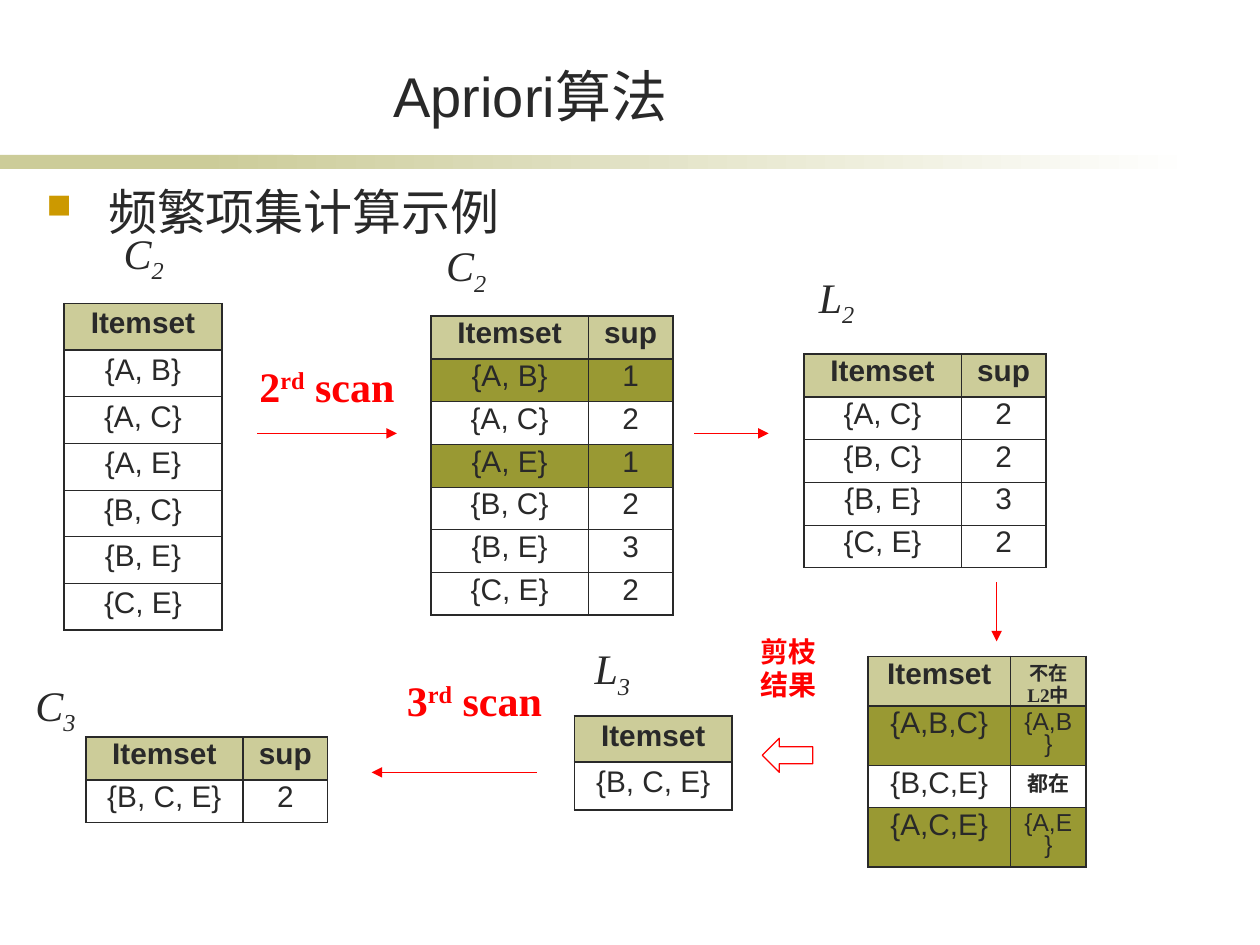
from dataclasses import dataclass
from typing import NamedTuple

from lxml import etree
from pptx import Presentation
from pptx.dml.color import RGBColor
from pptx.enum.shapes import MSO_CONNECTOR, MSO_SHAPE
from pptx.enum.text import MSO_ANCHOR, MSO_AUTO_SIZE, PP_ALIGN
from pptx.oxml.ns import qn
from pptx.util import Emu, Inches, Pt

RECTANGLE, LEFT_ARROW = MSO_SHAPE.RECTANGLE, MSO_SHAPE.LEFT_ARROW
STRAIGHT = MSO_CONNECTOR.STRAIGHT
TOP, MIDDLE, BOTTOM = MSO_ANCHOR.TOP, MSO_ANCHOR.MIDDLE, MSO_ANCHOR.BOTTOM
LEFT, CENTER = PP_ALIGN.LEFT, PP_ALIGN.CENTER
FIT_SHAPE = MSO_AUTO_SIZE.SHAPE_TO_FIT_TEXT

SANS, SERIF = "Arial", "Times New Roman"
INK, RED, WHITE = "292929", "FF0000", "FFFFFF"
SAND, OLIVE, GOLD = "CCCC99", "999933", "CC9900"
THICK, THIN = 1.08, 0.45

# The slide is a grid of 100 columns by 75 rows
WIDTH, HEIGHT = Inches(10), Inches(7.5)
COLUMN, ROW = WIDTH / 100, HEIGHT / 75
ITEMSET, SUP = 12.5, 6.7  # table column widths, in grid columns


class Box(NamedTuple):
    col: float
    row: float
    cols: float
    rows: float


class Style(NamedTuple):
    size: float = 17
    font: str = SANS
    color: str = INK
    bold: bool = False
    italic: bool = False


class Cell(NamedTuple):
    text: str
    style: Style


@dataclass
class Label:
    box: Box
    runs: list[tuple[str, int]]  # text and baseline shift in percent
    style: Style
    anchor: MSO_ANCHOR = MIDDLE
    align: PP_ALIGN = CENTER
    wrap: bool = False


@dataclass
class ItemsetTable:
    col: float
    row: float
    widths: list[float]
    heights: list[float]
    rows: list[list[str | Cell]]
    spacing: float = 0.8
    pruned: tuple[int, ...] = ()


def rgb(color: str) -> RGBColor:
    return RGBColor.from_string(color)


def across(cols: float) -> Emu:
    return Emu(round(cols * COLUMN))


def down(rows: float) -> Emu:
    return Emu(round(rows * ROW))


def place(box: Box) -> tuple[Emu, Emu, Emu, Emu]:
    return across(box.col), down(box.row), across(box.cols), down(box.rows)


def set_font(paragraph, style: Style) -> None:
    font = paragraph.font
    font.size, font.name = Pt(style.size), style.font
    font.bold, font.italic = style.bold, style.italic
    font.color.rgb = rgb(style.color)


def draw_label(slide, label: Label):
    textbox = slide.shapes.add_textbox(*place(label.box))
    frame = textbox.text_frame
    frame.word_wrap, frame.vertical_anchor = label.wrap, label.anchor
    if label.anchor == MIDDLE:
        frame.auto_size = FIT_SHAPE
    paragraph = frame.paragraphs[0]
    paragraph.alignment = label.align
    for text, shift in label.runs:
        run = paragraph.add_run()
        run.text = text
        if shift:
            run._r.get_or_add_rPr().set("baseline", str(shift * 1000))
    set_font(paragraph, label.style)
    return paragraph


def add_bullet(paragraph, indent: Emu) -> None:
    props = paragraph._p.get_or_add_pPr()
    props.set("marL", str(indent))
    props.set("indent", str(-indent))
    color = etree.Element(qn("a:buClr"))
    etree.SubElement(color, qn("a:srgbClr"), val=GOLD)
    size = etree.Element(qn("a:buSzPct"), val="70000")
    mark = etree.Element(qn("a:buChar"), char="■")
    for position, part in enumerate((color, size, mark)):
        props.insert(position, part)


def set_borders(cell, row: int, last: int) -> None:
    top = THICK if row <= 1 else THIN
    bottom = THICK if row in (0, last) else THIN
    props = cell._tc.get_or_add_tcPr()
    sides = {"lnL": THICK, "lnR": THICK, "lnT": top, "lnB": bottom}
    for position, (side, points) in enumerate(sides.items()):
        line = etree.Element(qn(f"a:{side}"), w=str(Pt(points)))
        fill = etree.SubElement(line, qn("a:solidFill"))
        etree.SubElement(fill, qn("a:srgbClr"), val=INK)
        props.insert(position, line)


def draw_table(slide, spec: ItemsetTable) -> None:
    box = Box(spec.col, spec.row, sum(spec.widths), sum(spec.heights))
    table = slide.shapes.add_table(len(spec.rows), len(spec.widths), *place(box)).table
    table.first_row = table.horz_banding = False
    for column, width in zip(table.columns, spec.widths):
        column.width = across(width)
    for r, (height, values) in enumerate(zip(spec.heights, spec.rows)):
        table.rows[r].height = down(height)
        for c, value in enumerate(values):
            if isinstance(value, str):
                value = Cell(value, Style(bold=r == 0))
            cell = table.cell(r, c)
            cell.text = value.text
            paragraph = cell.text_frame.paragraphs[0]
            paragraph.alignment, paragraph.line_spacing = CENTER, spec.spacing
            set_font(paragraph, value.style)
            if r == 0 or r in spec.pruned:
                cell.fill.solid()
                cell.fill.fore_color.rgb = rgb(OLIVE if r else SAND)
            else:
                cell.fill.background()
            set_borders(cell, r, len(spec.rows) - 1)


def draw_arrow(slide, start: tuple[float, float], end: tuple[float, float]) -> None:
    (x1, y1), (x2, y2) = start, end
    arrow = slide.shapes.add_connector(STRAIGHT, across(x1), down(y1), across(x2), down(y2))
    arrow.line.color.rgb, arrow.line.width = rgb(RED), Pt(0.75)
    etree.SubElement(arrow.line._get_or_add_ln(), qn("a:tailEnd"), type="triangle")
    etree.SubElement(arrow._element.spPr, qn("a:effectLst"))


def draw_shape(slide, preset: MSO_SHAPE, box: Box, fill: str):
    shape = slide.shapes.add_shape(preset, *place(box))
    shape.shadow.inherit = False
    shape.fill.solid()
    shape.fill.fore_color.rgb = rgb(fill)
    shape.line.fill.background()
    return shape


def set_name(letter: str, index: str, col: float, row: float) -> Label:
    cols = 5.2 if letter == "C" else 4.8
    return Label(Box(col, row, cols, 5.6), [(letter, 0), (index, -25)],
                 Style(24, SERIF, italic=True))


def scan_step(number: str, col: float, row: float) -> Label:
    return Label(Box(col, row, 12.7, 5), [(number, 0), ("rd", 30), (" scan", 0)],
                 Style(24, SERIF, RED, bold=True))


PAIRS = ["{A, B}", "{A, C}", "{A, E}", "{B, C}", "{B, E}", "{C, E}"]
SUPPORT = dict(zip(PAIRS, "121232"))
FREQUENT = [[pair, sup] for pair, sup in SUPPORT.items() if sup != "1"]
HEADER = ["Itemset", "sup"]

TABLES = [
    ItemsetTable(5.1, 24.1, [ITEMSET], [3.7] * 7,
                 [["Itemset"], *([pair] for pair in PAIRS)], 0.9),
    ItemsetTable(34.2, 25.1, [ITEMSET, SUP], [3.39] * 7,
                 [HEADER, *map(list, SUPPORT.items())], pruned=(1, 3)),
    ItemsetTable(63.8, 28.1, [ITEMSET, SUP], [3.39] * 5, [HEADER, *FREQUENT]),
    ItemsetTable(68.9, 52.1, [11.3, 6], [3.9, 4.7, 3.3, 4.7], [
        ["Itemset", Cell("不在L2中", Style(11, SERIF, bold=True))],
        ["{A,B,C}", Cell("{A,B}", Style(14))],
        ["{B,C,E}", Cell("都在", Style(12, bold=True))],
        ["{A,C,E}", Cell("{A,E}", Style(14))]], pruned=(1, 3)),
    ItemsetTable(45.6, 56.8, [ITEMSET], [3.7, 3.8], [["Itemset"], ["{B, C, E}"]], 0.9),
    ItemsetTable(6.8, 58.5, [ITEMSET, SUP], [3.39] * 2, [HEADER, ["{B, C, E}", "2"]]),
]
LABELS = [
    Label(Box(11.4, 4.4, 61.4, 6.3), [("Apriori算法", 0)], Style(32), BOTTOM, wrap=True),
    set_name("C", "2", 8.8, 17.5), set_name("C", "2", 34.4, 18.5),
    set_name("L", "2", 64, 21), set_name("L", "3", 46.2, 50.5),
    set_name("C", "3", 1.8, 53.4),
    scan_step("2", 19.6, 28.1), scan_step("3", 31.3, 53),
    Label(Box(58.7, 49.8, 7.8, 6.4), [("剪枝结果", 0)],
          Style(16, SERIF, RED, bold=True), wrap=True),
]
TOPIC = Label(Box(2.7, 13.9, 91.4, 50.4), [("频繁项集计算示例", 0)],
              Style(28), TOP, LEFT, wrap=True)
ARROWS = [((20.4, 34.4), (31.5, 34.4)), ((55.1, 34.4), (61, 34.4)),
          ((79.1, 46.2), (79.1, 50.9)), ((42.6, 61.3), (29.5, 61.3))]


def main() -> None:
    deck = Presentation()
    deck.slide_width, deck.slide_height = WIDTH, HEIGHT
    slide = deck.slides.add_slide(deck.slide_layouts[6])

    # Band under the title, fading to the right
    draw_shape(slide, RECTANGLE, Box(0, 12.3, 23.3, 1.1), SAND)
    fade = draw_shape(slide, RECTANGLE, Box(15.8, 12.3, 79.2, 1.1), SAND).fill
    fade.gradient()
    fade.gradient_angle = 0
    for stop, color in zip(fade.gradient_stops, (SAND, WHITE)):
        stop.color.rgb = rgb(color)

    # Topic, tables and their names
    add_bullet(draw_label(slide, TOPIC), across(4.9))
    for table in TABLES:
        draw_table(slide, table)
    for label in LABELS:
        draw_label(slide, label)

    # Flow between the tables
    for start, end in ARROWS:
        draw_arrow(slide, start, end)
    pruning = draw_shape(slide, LEFT_ARROW, Box(60.5, 58.6, 4, 2.7), WHITE)
    pruning.line.color.rgb, pruning.line.width = rgb(RED), Pt(0.75)

    deck.save("out.pptx")


if __name__ == "__main__":
    main()
